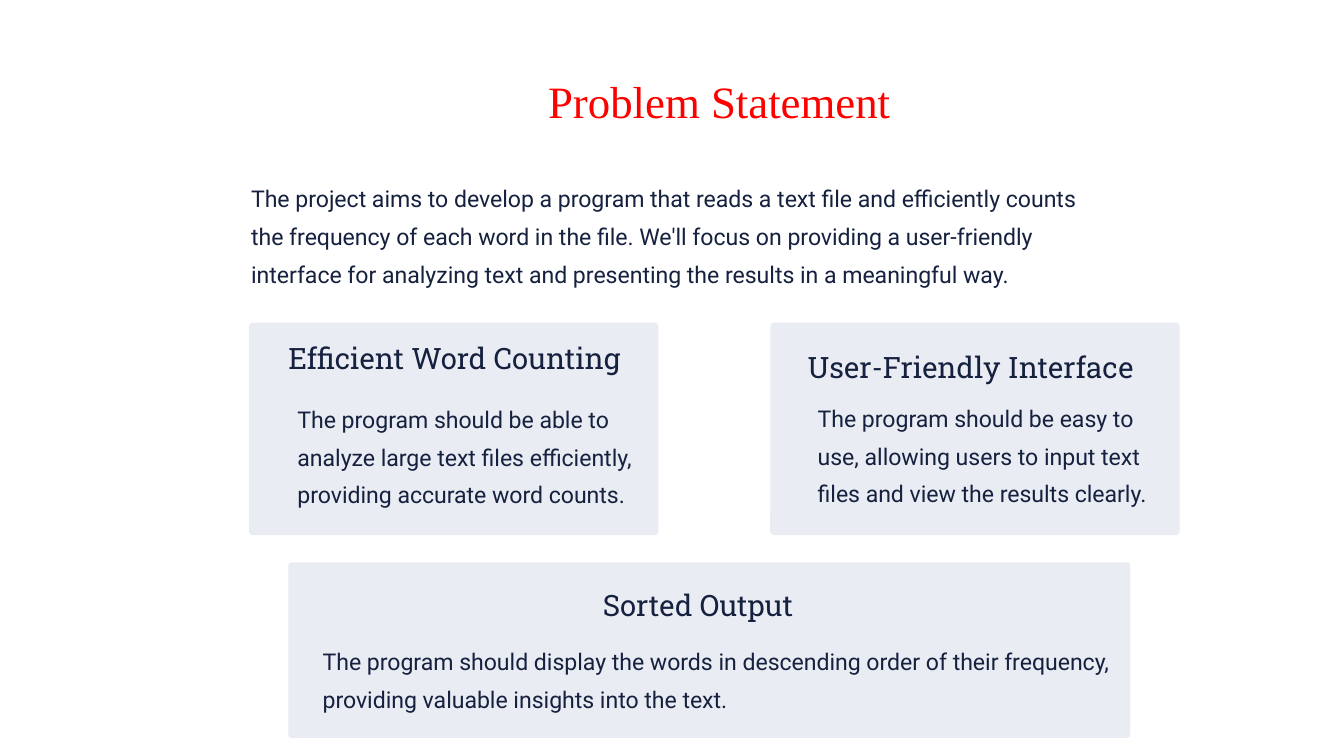
from pptx import Presentation
from pptx.dml.color import RGBColor
from pptx.enum.shapes import MSO_SHAPE
from pptx.enum.text import MSO_ANCHOR, PP_ALIGN
from pptx.util import Inches, Pt

ROUNDED = MSO_SHAPE.ROUNDED_RECTANGLE
TOP = MSO_ANCHOR.TOP
CENTER = PP_ALIGN.CENTER
LEFT = PP_ALIGN.LEFT
TITLE_ONLY = 5

COLORS = {"title": "FF0000", "text": "15213F", "card": "E9ECF2"}
TITLE = {"name": "Times New Roman", "size": Pt(32), "bold": False}
HEADING = {"name": "Roboto Slab", "size": Pt(21)}
BODY = {"name": "Roboto", "size": Pt(16.5)}

CARDS = [
    {
        "box": (2.47, 3.2, 4.06, 2.11),
        "radius": 0.04,
        "heading": "Efficient Word Counting",
        "heading_box": (0.39, 0.16, 3.35, 0.37),
        "body": "The program should be able to analyze large text files "
                "efficiently, providing accurate word counts.",
        "body_box": (0.48, 0.72, 3.58, 1.13),
    },
    {
        "box": (7.64, 3.2, 4.06, 2.11),
        "radius": 0.04,
        "heading": "User-Friendly Interface",
        "heading_box": (0.37, 0.25, 3.25, 0.37),
        "body": "The program should be easy to use, allowing users to input "
                "text files and view the results clearly.",
        "body_box": (0.47, 0.71, 3.58, 1.13),
    },
    {
        "box": (2.86, 5.58, 8.35, 1.74),
        "radius": 0.03,
        "heading": "Sorted Output",
        "heading_box": (3.12, 0.23, 2.95, 0.37),
        "body": "The program should display the words in descending order of "
                "their frequency, providing valuable insights into the text.",
        "body_box": (0.34, 0.74, 7.88, 0.76),
    },
]


def write_text(shape, text, font, color, alignment=LEFT, spacing=None, wrap=True):
    frame = shape.text_frame
    frame_format = {
        "margin_left": 0,
        "margin_top": 0,
        "margin_right": 0,
        "margin_bottom": 0,
        "vertical_anchor": TOP,
        "word_wrap": wrap,
    }
    for name, value in frame_format.items():
        setattr(frame, name, value)
    paragraph = frame.paragraphs[0]
    paragraph.alignment = alignment
    paragraph.line_spacing = spacing
    run = paragraph.add_run()
    run.text = text
    for name, value in font.items():
        setattr(run.font, name, value)
    run.font.color.rgb = RGBColor.from_string(COLORS[color])


def add_title(slide, box):
    title = slide.shapes.title
    for name, value in zip(("left", "top", "width", "height"), box):
        setattr(title, name, Inches(value))
    write_text(title, "Problem Statement", TITLE, "title", CENTER)


def add_text(slide, box, text, font, spacing, wrap=True):
    shape = slide.shapes.add_textbox(*map(Inches, box))
    write_text(shape, text, font, "text", spacing=Pt(spacing), wrap=wrap)


def add_card(slide, card):
    left, top, width, height = card["box"]
    panel = slide.shapes.add_shape(ROUNDED, *map(Inches, card["box"]))
    panel.adjustments[0] = card["radius"] / min(width, height)
    panel.shadow.inherit = False
    panel.fill.solid()
    panel.fill.fore_color.rgb = RGBColor.from_string(COLORS["card"])
    panel.line.fill.background()

    def inside(box):
        return (left + box[0], top + box[1], box[2], box[3])

    add_text(slide, inside(card["heading_box"]), card["heading"], HEADING, 26.5, False)
    add_text(slide, inside(card["body_box"]), card["body"], BODY, 27)


def main():
    presentation = Presentation()
    presentation.slide_width = Inches(13.33)
    presentation.slide_height = Inches(7.5)
    slide = presentation.slides.add_slide(presentation.slide_layouts[TITLE_ONLY])
    add_title(slide, (1.67, 0.73, 10.93, 0.55))
    add_text(
        slide,
        (2.49, 1.73, 8.35, 1.51),
        "The project aims to develop a program that reads a text file and "
        "efficiently counts the frequency of each word in the file. We'll focus "
        "on providing a user-friendly interface for analyzing text and "
        "presenting the results in a meaningful way.",
        BODY,
        27,
    )
    for card in CARDS:
        add_card(slide, card)
    presentation.save("out.pptx")


if __name__ == "__main__":
    main()
